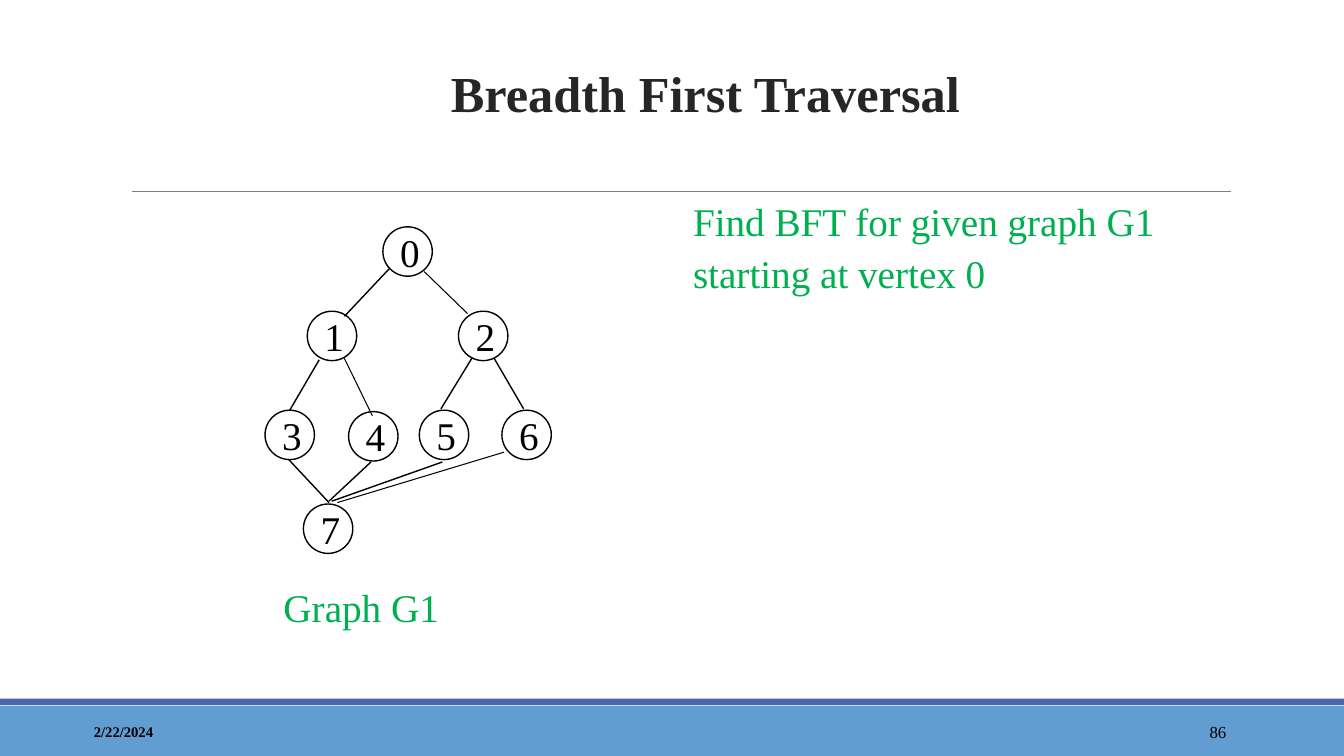
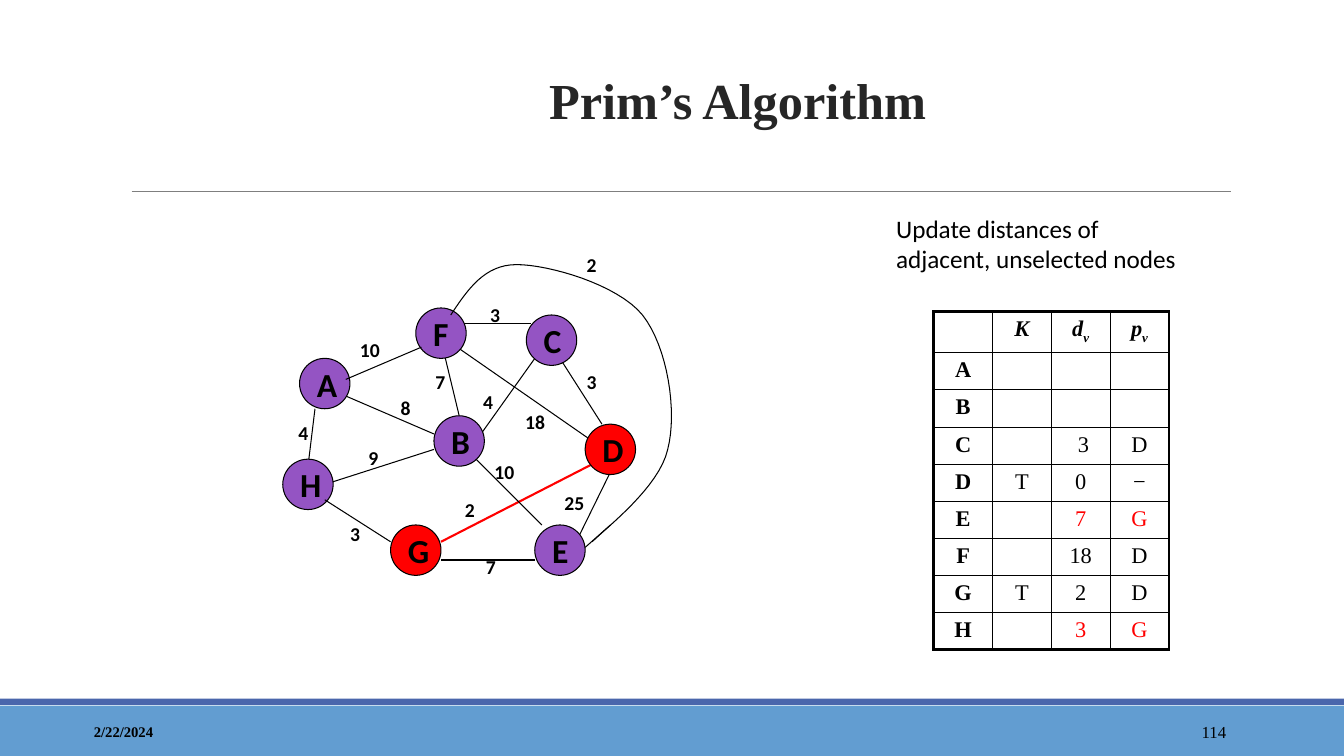
from lxml.etree import SubElement
from pptx import Presentation
from pptx.dml.color import RGBColor
from pptx.enum.shapes import MSO_CONNECTOR as CONN, MSO_SHAPE as SHAPE
from pptx.enum.text import MSO_ANCHOR as ANCHOR, MSO_AUTO_SIZE as AUTO, PP_ALIGN as ALIGN
from pptx.oxml.ns import qn
from pptx.util import Pt

rgb = RGBColor.from_string
BLACK, GREEN, RED, PURPLE = "000000", "00B050", "FF0000", "9454C3"
SERIF, SANS = "Times New Roman", "Calibri"
TITLE = dict(name=SERIF, size=Pt(36), bold=True, color="262626")
DATE = dict(name=SERIF, size=Pt(10.5), bold=True)
NUMBER = dict(name=SERIF, size=Pt(12))
GREEN_TEXT = dict(name=SERIF, size=Pt(28), color=GREEN)
DIGIT = dict(name=SERIF, size=Pt(28))
LETTER = dict(name=SANS, size=Pt(24), bold=True)
WEIGHT = dict(name=SANS, size=Pt(14), bold=True)
CELL = dict(name=SERIF, size=Pt(16))


def write(tf, text, align=ALIGN.LEFT, color=BLACK, **fmt):
    tf.word_wrap = True
    p = tf.paragraphs[0]
    p.alignment = align
    for i, part in enumerate(text.split("_")):
        r = p.add_run()
        r.text = part
        r.font.color.rgb = rgb(color)
        for key, value in fmt.items():
            setattr(r.font, key, value)
        if i % 2:
            r._r.get_or_add_rPr().set("baseline", "-25000")
    return p


def line(s, x1, y1, x2, y2, width=0.75, color=BLACK):
    c = s.shapes.add_connector(CONN.STRAIGHT, Pt(x1), Pt(y1), Pt(x2), Pt(y2))
    c.line.width = Pt(width)
    c.line.color.rgb = rgb(color)
    SubElement(c._element.spPr, qn("a:effectLst"))


prs = Presentation()
prs.slide_width, prs.slide_height = Pt(960), Pt(540)
bfs = prs.slides.add_slide(prs.slide_layouts[1])
prim = prs.slides.add_slide(prs.slide_layouts[5])

for s, title, x, y, number in [
    (bfs, "Breadth First Traversal", 108, 15, "86"),
    (prim, "Prim’s Algorithm", 131, 20, "114"),
]:
    for top, height, color in [(504, 36, "629DD1"), (499, 4.6, "4A66AC")]:
        band = s.shapes.add_shape(SHAPE.RECTANGLE, 0, Pt(top), Pt(960), Pt(height))
        band.shadow.inherit = False
        band.fill.solid()
        band.fill.fore_color.rgb = rgb(color)
        band.line.fill.background()
    line(s, 94, 136.6, 879, 136.6, color="7F7F7F")

    sp = s.shapes.title
    sp.left, sp.top, sp.width, sp.height = Pt(x), Pt(y), Pt(792), Pt(76)
    sp.text_frame.auto_size = AUTO.NONE
    sp.text_frame.vertical_anchor = ANCHOR.BOTTOM
    write(sp.text_frame, title, ALIGN.CENTER, **TITLE).line_spacing = 1.1

    for text, left, width, align, fmt in [
        ("2/22/2024", 60, 216, ALIGN.LEFT, DATE),
        (number, 780, 103, ALIGN.RIGHT, NUMBER),
    ]:
        tf = s.shapes.add_textbox(Pt(left), Pt(508), Pt(width), Pt(29)).text_frame
        tf.vertical_anchor = ANCHOR.MIDDLE
        write(tf, text, align, **fmt)

body = bfs.placeholders[1]
body.left, body.top, body.width, body.height = Pt(495), Pt(134), Pt(336), Pt(108)
caption = bfs.shapes.add_textbox(Pt(179), Pt(410), Pt(158), Pt(45))
for sp, text, align in [
    (body, "Find BFT for given graph G1 starting at vertex 0", ALIGN.LEFT),
    (caption, "Graph G1", ALIGN.CENTER),
]:
    tf = sp.text_frame
    for key, value in dict(auto_size=AUTO.NONE, margin_left=0, margin_right=0).items():
        setattr(tf, key, value)
    pPr = tf.paragraphs[0]._p.get_or_add_pPr()
    pPr.set("marL", "0")
    pPr.set("indent", "0")
    SubElement(pPr, qn("a:buNone"))
    p = write(tf, text, align, **GREEN_TEXT)
    p.space_before = Pt(0)
    p.line_spacing = 1.1

bfs_nodes = [
    ("0", 273.5, 162), ("1", 219.5, 222.3), ("2", 327.5, 222.3), ("3", 189.3, 293),
    ("4", 249, 294), ("5", 299.5, 293), ("6", 358.5, 293), ("7", 216.7, 360),
]
bfs_edges = [
    (278, 192, 246, 226, 1), (228, 257, 207, 293, 1), (337, 256, 315, 292, 1),
    (353, 256, 374, 292, 1), (206, 328, 235, 359, 1), (235, 358, 265, 330, 1),
    (237, 358, 316, 330, 1), (303, 194, 334, 224), (246, 256, 266, 297),
    (241, 359, 360, 323),
]
prim_nodes = [
    ("A", 214, 256), ("H", 202, 328), ("B", 310, 297), ("F", 297, 220),
    ("E", 382, 375), ("D", 418, 303), ("C", 376, 225), ("G", 279, 375),
]
prim_back_edges = [
    (444, 321, 414, 382), (315, 243, 328, 297), (340, 315, 382, 256),
    (423, 315, 328, 249), (232, 346, 310, 321), (315, 387, 430, 328, 1.5, RED),
    (220, 333, 225, 292), (238, 279, 310, 310), (331, 231, 379, 231),
    (400, 256, 430, 303),
]
prim_front_edges = [
    (340, 328, 387, 375), (382, 400, 315, 400), (279, 387, 232, 357),
    (247, 271, 301, 248), (436, 375, 418, 391),
]
for s, back, nodes, front, size, width, fill, align, fmt in [
    (bfs, [], bfs_nodes, bfs_edges, 35.3, 1, "FFFFFF", ALIGN.CENTER, DIGIT),
    (prim, prim_back_edges, prim_nodes, prim_front_edges, 36, 0.75, PURPLE, ALIGN.LEFT, LETTER),
]:
    for edge in back:
        line(s, *edge)
    for name, x, y in nodes:
        sp = s.shapes.add_shape(SHAPE.OVAL, Pt(x), Pt(y), Pt(size), Pt(size))
        sp.shadow.inherit = False
        sp.fill.solid()
        sp.fill.fore_color.rgb = rgb(RED if name in ("D", "G") else fill)
        sp.line.width = Pt(width)
        sp.line.color.rgb = rgb(BLACK)
        write(sp.text_frame, name, align, **fmt)
    for edge in front:
        line(s, *edge)

start = (322, 225)
curves = [
    ((334, 207), (346, 189), (369, 189)), ((392, 189), (441, 203), (459, 225)),
    ((477, 248), (484, 294), (477, 321)), ((471, 348), (433, 377), (423, 387)),
]
steps = 16
arc = prim.shapes.build_freeform(Pt(start[0]), Pt(start[1]))
for c1, c2, end in curves:
    points = []
    for i in range(1, steps + 1):
        t = i / steps
        u = 1 - t
        points.append([
            Pt(u**3 * a + 3 * u * u * t * b + 3 * u * t * t * c + t**3 * d)
            for a, b, c, d in zip(start, c1, c2, end)
        ])
    arc.add_line_segments(points, close=False)
    start = end
sp = arc.convert_to_shape()
sp.shadow.inherit = False
sp.fill.background()
sp.line.width = Pt(0.75)
sp.line.color.rgb = rgb(BLACK)

for text, x, y in [
    ("4", 206, 297), ("25", 396, 347), ("7", 340, 393), ("2", 325, 352), ("10", 346, 325),
    ("18", 368, 289), ("3", 412, 261), ("4", 338, 275), ("3", 343, 213), ("7", 304, 261),
    ("8", 279, 279), ("9", 256, 315), ("3", 243, 369), ("10", 250, 238), ("2", 412, 177),
]:
    label = prim.shapes.add_textbox(Pt(x), Pt(y), Pt(11 + 13 * len(text)), Pt(24))
    write(label.text_frame, text, **WEIGHT)

note = prim.shapes.add_textbox(Pt(633), Pt(149), Pt(228), Pt(55))
write(note.text_frame, "Update distances of adjacent, unselected nodes", name=SANS, size=Pt(18))

rows = [
    ("", "K", "d_v", "p_v"), ("A", "", "", ""), ("B", "", "", ""), ("C", "", " 3", "D"),
    ("D", "T", "0", "−"), ("E", "", "7", "G"), ("F", "", "18", "D"), ("G", "T", "2", "D"),
    ("H", "", "3", "G"),
]
last_row, last_col = len(rows) - 1, len(rows[0]) - 1
table = prim.shapes.add_table(len(rows), len(rows[0]), Pt(667), Pt(222.5), Pt(168), Pt(236)).table
table.first_row = table.horz_banding = False
for col in table.columns:
    col.width = Pt(42)
for i, row in enumerate(rows):
    table.rows[i].height = Pt(27.5 if i == 2 else 26.2)
    for j, text in enumerate(row):
        cell = table.cell(i, j)
        tcPr = cell._tc.get_or_add_tcPr()
        for side, outer in [("L", j == 0), ("R", j == last_col), ("T", i == 0), ("B", i == last_row)]:
            ln = SubElement(tcPr, qn("a:ln" + side), w=str(Pt(2.25 if outer else 1)))
            SubElement(SubElement(ln, qn("a:solidFill")), qn("a:srgbClr"), val=BLACK)
        cell.fill.background()
        if text:
            color = RED if row[0] in ("E", "H") and j else BLACK
            write(cell.text_frame, text, ALIGN.CENTER, color, bold=i == 0 or j == 0, italic=i == 0, **CELL)
        else:
            SubElement(cell.text_frame.paragraphs[0]._p, qn("a:endParaRPr"), sz="1600")

prs.save("out.pptx")
